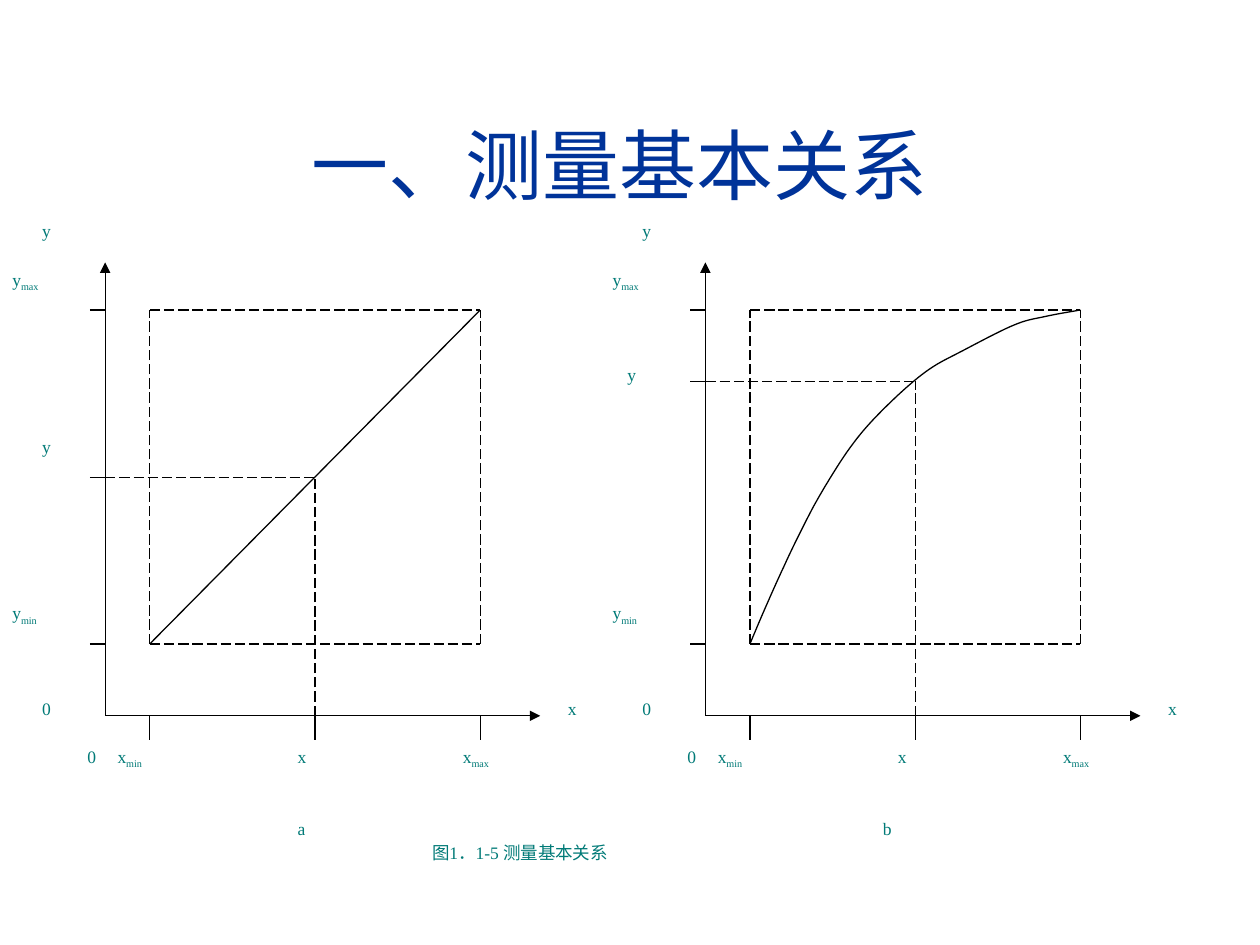
from lxml import etree
from pptx import Presentation
from pptx.dml.color import RGBColor
from pptx.enum import dml, shapes, text
from pptx.oxml.ns import qn
from pptx.util import Cm, Pt

COLORS = {"title": "003399", "label": "007A77", "line": "000000"}
TITLE = "一、测量基本关系"
CAPTION = ("图1．1-5 测量基本关系", "", 8.46, 16.84, 7.87)

AXIS_X, X_MIN, X_MID, X_MAX, X_END = 2.12, 3.02, 6.35, 9.68, 10.89
AXIS_Y, Y_MIN, Y_MAX, Y_END = 14.43, 12.98, 6.25, 5.29
TICK_LEFT, TICK_BOTTOM = 1.81, 14.91
LABEL_HEIGHT = 1.3
SHORT, LONG, MEDIUM = 1.21, 2.12, 1.51

COMMON_LABELS = [
    ("y", "", 0.6, 4.32, SHORT),
    ("y", "max", 0, 5.29, LONG),
    ("y", "min", 0, 12.02, LONG),
    ("x", "", 11.2, 13.95, SHORT),
    ("x", "max", 9.08, 14.91, LONG),
    ("x", "min", 2.12, 14.91, LONG),
    ("x", "", 5.75, 14.91, MEDIUM),
    ("0", "", 0.6, 13.95, SHORT),
    ("0", "", 1.51, 14.91, SHORT),
]
PANELS = [
    {"offset": 0, "y": 9.62,
     "labels": [("y", "", 0.6, 8.66, SHORT), ("a", "", 5.75, 16.36, MEDIUM)],
     "curve": []},
    {"offset": 12.1, "y": 7.69,
     "labels": [("y", "", 0.3, 7.21, SHORT), ("b", "", 5.45, 16.36, MEDIUM)],
     "curve": [(3.02, 12.98), (3.3, 12.32), (3.63, 11.58), (4, 10.8),
               (4.46, 9.93), (5.1, 8.94), (5.76, 8.2), (6.57, 7.49),
               (7.33, 7.06), (8.35, 6.55), (8.98, 6.38), (9.68, 6.25)]},
]
LABEL_FONT = {"size": Pt(10), "name": "Times New Roman"}
TITLE_FONT = {"size": Pt(44), "name": "Arial"}
TITLE_BOX = {"left": Cm(0.84), "top": Cm(1.7), "width": Cm(23.72), "height": Cm(3.18)}
TITLE_FRAME = {"vertical_anchor": text.MSO_ANCHOR.MIDDLE, "margin_right": Cm(0.67)}


def apply(target, values):
    for name, value in values.items():
        setattr(target, name, value)


def format_font(font, values, color):
    apply(font, values)
    font.color.rgb = RGBColor.from_string(COLORS[color])


def format_line(line):
    line.width = Pt(0.75)
    line.color.rgb = RGBColor.from_string(COLORS["line"])


def add_line(group, start, end, dashed=False, arrow=False):
    connector = group.shapes.add_connector(
        shapes.MSO_CONNECTOR.STRAIGHT, *(Cm(value) for value in start + end))
    format_line(connector.line)
    if dashed:
        connector.line.dash_style = dml.MSO_LINE.LONG_DASH
    if arrow:
        etree.SubElement(connector.line._get_or_add_ln(), qn("a:tailEnd"), type="triangle")
    etree.SubElement(connector._element.spPr, qn("a:effectLst"))


def add_label(group, label, subscript, left, top, width):
    box = group.shapes.add_textbox(Cm(left), Cm(top), Cm(width), Cm(LABEL_HEIGHT))
    box.text_frame.word_wrap = True
    paragraph = box.text_frame.paragraphs[0]
    paragraph.alignment = text.PP_ALIGN.JUSTIFY
    for content, baseline in ((label, None), (subscript, "-25000")):
        if content:
            run = paragraph.add_run()
            run.text = content
            format_font(run.font, LABEL_FONT, "label")
            if baseline:
                run.font._element.set("baseline", baseline)


def smooth_points(anchors, steps=10):
    padded = [anchors[0]] + anchors + [anchors[-1]]
    points = [anchors[0]]
    for quad in zip(padded, padded[1:], padded[2:], padded[3:]):
        for step in range(1, steps + 1):
            t = step / steps
            points.append(tuple(
                b + 0.5 * t * (c - a + t * (2 * a - 5 * b + 4 * c - d
                                            + t * (3 * (b - c) + d - a)))
                for a, b, c, d in zip(*quad)))
    return points


def add_curve(group, anchors, offset):
    points = [(Cm(x + offset), Cm(y)) for x, y in smooth_points(anchors)]
    builder = group.shapes.build_freeform(*points[0])
    builder.add_line_segments(points[1:], close=False)
    curve = builder.convert_to_shape()
    curve.fill.background()
    curve.shadow.inherit = False
    format_line(curve.line)


def add_panel(group, panel):
    offset, y_mid = panel["offset"], panel["y"]
    axis, low, middle, high, end, tick = (
        x + offset for x in (AXIS_X, X_MIN, X_MID, X_MAX, X_END, TICK_LEFT))
    origin = (axis, AXIS_Y)
    for target in ((axis, Y_END), (end, AXIS_Y)):
        add_line(group, origin, target, arrow=True)
    for y in (Y_MIN, y_mid, Y_MAX):
        add_line(group, (tick, y), (axis, y))
    for x in (low, middle, high):
        add_line(group, (x, AXIS_Y), (x, TICK_BOTTOM))
    for x in (low, high):
        add_line(group, (x, Y_MIN), (x, Y_MAX), dashed=True)
    for y in (Y_MIN, Y_MAX):
        add_line(group, (low, y), (high, y), dashed=True)
    add_line(group, (axis, y_mid), (middle, y_mid), dashed=True)
    add_line(group, (middle, AXIS_Y), (middle, y_mid), dashed=True)
    if panel["curve"]:
        add_curve(group, panel["curve"], offset)
    else:
        add_line(group, (low, Y_MIN), (high, Y_MAX))
    for label, subscript, left, top, width in COMMON_LABELS + panel["labels"]:
        add_label(group, label, subscript, left + offset, top, width)


def main():
    presentation = Presentation()
    apply(presentation, {"slide_width": Cm(25.4), "slide_height": Cm(19.05)})
    slide = presentation.slides.add_slide(presentation.slide_layouts[5])
    title = slide.shapes.title
    apply(title, TITLE_BOX)
    apply(title.text_frame, TITLE_FRAME)
    paragraph = title.text_frame.paragraphs[0]
    paragraph.alignment = text.PP_ALIGN.CENTER
    run = paragraph.add_run()
    run.text = TITLE
    format_font(run.font, TITLE_FONT, "title")
    group = slide.shapes.add_group_shape()
    for panel in PANELS:
        add_panel(group, panel)
    add_label(group, *CAPTION)
    presentation.save("out.pptx")


if __name__ == "__main__":
    main()
